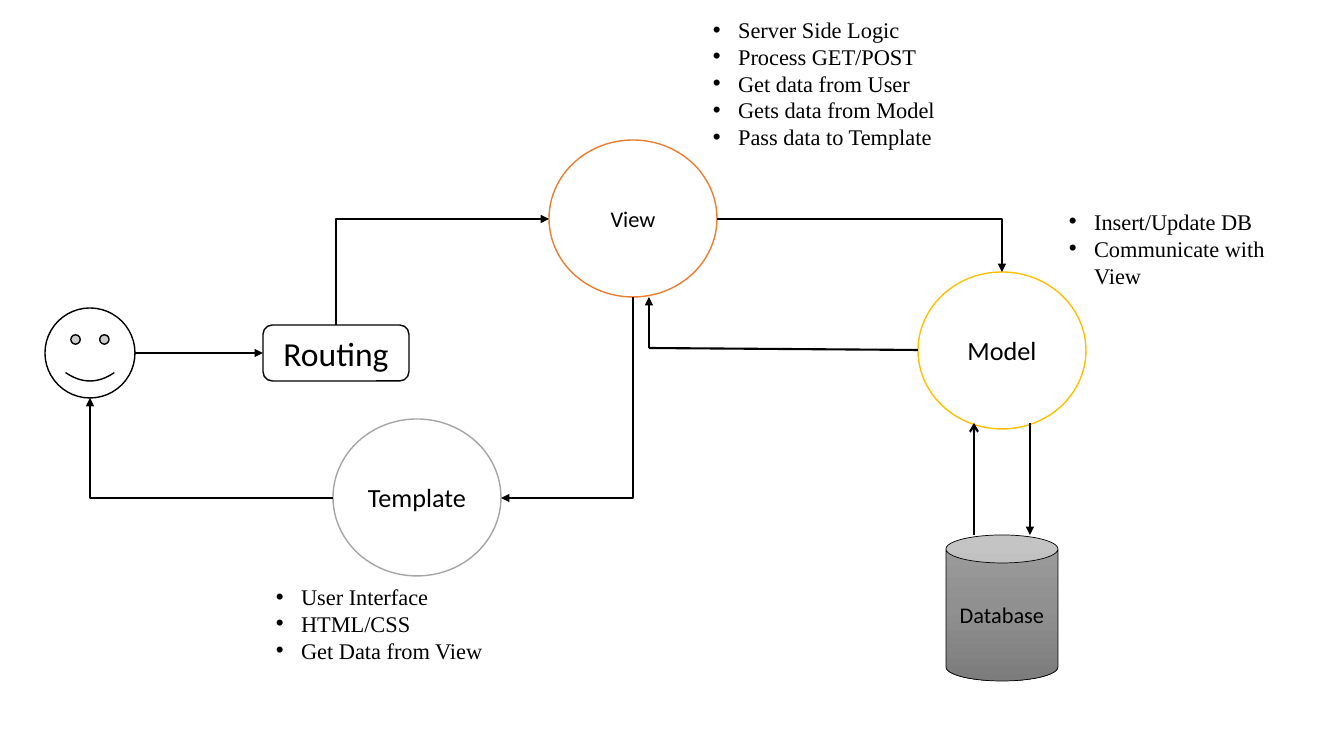
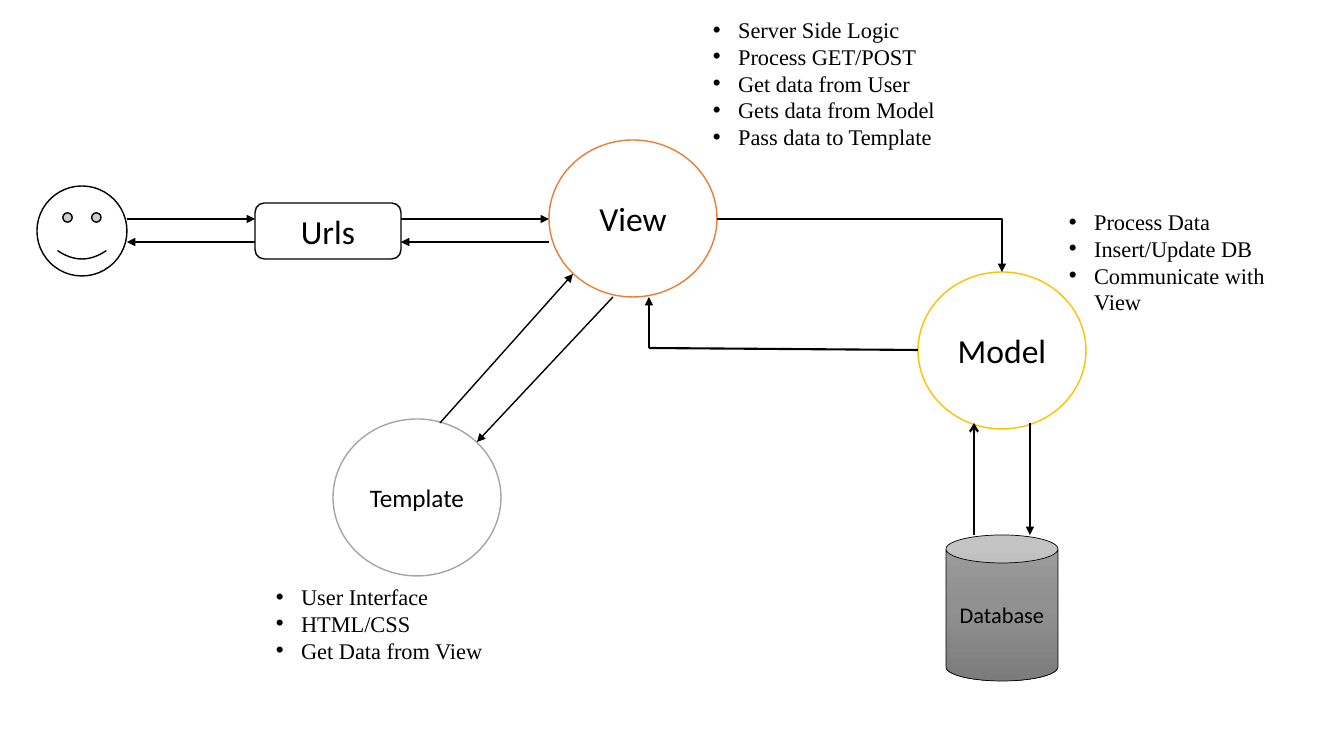
from copy import deepcopy

from lxml.etree import SubElement
from pptx import Presentation
from pptx.dml.color import RGBColor
from pptx.enum.shapes import MSO_CONNECTOR, MSO_SHAPE
from pptx.enum.text import MSO_ANCHOR, MSO_AUTO_SIZE, PP_ALIGN
from pptx.oxml.ns import qn
from pptx.util import Pt

WIDE, HIGH = 1344, 756
SCALE = 12192000 / WIDE

BLACK = RGBColor(0x00, 0x00, 0x00)
WHITE = RGBColor(0xFF, 0xFF, 0xFF)
ORANGE = RGBColor(0xED, 0x7D, 0x31)
GREY = RGBColor(0xA5, 0xA5, 0xA5)
GOLD = RGBColor(0xFF, 0xC0, 0x00)
SHADES = [RGBColor(0x9D, 0x9D, 0x9D), RGBColor(0x90, 0x90, 0x90),
          RGBColor(0x7C, 0x7C, 0x7C)]

SANS, SERIF = "Calibri", "Times New Roman"
FACE, BOX = MSO_SHAPE.SMILEY_FACE, MSO_SHAPE.ROUNDED_RECTANGLE
OVAL, CAN = MSO_SHAPE.OVAL, MSO_SHAPE.CAN
LINE, ELBOW = MSO_CONNECTOR.STRAIGHT, MSO_CONNECTOR.ELBOW
CENTER, MIDDLE = PP_ALIGN.CENTER, MSO_ANCHOR.MIDDLE
GROW = MSO_AUTO_SIZE.SHAPE_TO_FIT_TEXT

VIEW_NOTES = ["Server Side Logic", "Process GET/POST", "Get data from User",
              "Gets data from Model", "Pass data to Template"]
MODEL_NOTES = ["Insert/Update DB", "Communicate with View"]
PAGE_NOTES = ["User Interface", "HTML/CSS", "Get Data from View"]


def emu(*lengths):
    return [round(px * SCALE) for px in lengths]


def style(para, font, size):
    para.font.name = font
    para.font.size = Pt(size)
    para.font.color.rgb = BLACK


def node(slide, kind, frame, text="", size=16, color=BLACK, width=1):
    """Add a white outlined shape with a centred label."""
    shape = slide.shapes.add_shape(kind, *emu(*frame))
    shape.shadow.inherit = False
    shape.fill.solid()
    shape.fill.fore_color.rgb = WHITE
    shape.line.color.rgb = color
    shape.line.width = Pt(width)
    if text:
        shape.text_frame.vertical_anchor = MIDDLE
        para = shape.text_frame.paragraphs[0]
        para.text = text
        para.alignment = CENTER
        style(para, SANS, size)
    return shape


def shade(shape):
    """Fill a shape from top to bottom with the evenly spaced SHADES."""
    shape.fill.gradient()
    shape.fill.gradient_angle = 270
    stops = shape.element.spPr.find(".//" + qn("a:gsLst"))
    stops.insert(1, deepcopy(stops[0]))
    for i, (stop, color) in enumerate(zip(shape.fill.gradient_stops, SHADES)):
        stop.position = i / (len(SHADES) - 1)
        stop.color.rgb = color


def link(slide, start, end, tail="triangle", head=None, width=1.5, kind=LINE):
    """Add a black connector with optional arrowheads."""
    line = slide.shapes.add_connector(kind, *emu(*start, *end))
    line.line.color.rgb = BLACK
    line.line.width = Pt(width)
    props = line.element.spPr
    stroke = props.find(qn("a:ln"))
    for tag, tip in (("a:headEnd", head), ("a:tailEnd", tail)):
        if tip:
            SubElement(stroke, qn(tag)).set("type", tip)
    SubElement(props, qn("a:effectLst"))
    return line


def bend(slide, start, end, upright=False):
    """Add an arrow with one corner; upright ones leave vertically."""
    if upright:
        (x1, y1), (x2, y2) = start, end
        mid_x, mid_y = (x1 + x2) / 2, (y1 + y2) / 2
        dx, dy = (x2 - x1) / 2, (y2 - y1) / 2
        start = mid_x - dy, mid_y + dx
        end = mid_x + dy, mid_y - dx
    props = link(slide, start, end, kind=ELBOW).element.spPr
    props.find(qn("a:prstGeom")).set("prst", "bentConnector2")
    if upright:
        props.find(qn("a:xfrm")).set("rot", "5400000")


def notes(slide, frame, items, wrap=False):
    """Add a bulleted text box."""
    body = slide.shapes.add_textbox(*emu(*frame)).text_frame
    body.word_wrap = wrap
    body.auto_size = GROW
    body.text = "\n".join(items)
    for para in body.paragraphs:
        style(para, SERIF, 16)
        props = para._p.get_or_add_pPr()
        props.set("marL", "228600")
        props.set("indent", "-228600")
        SubElement(props, qn("a:buFont")).set("typeface", "Arial")
        SubElement(props, qn("a:buChar")).set("char", "•")
        props.append(props.find(qn("a:defRPr")))


def base(deck, view, page, model, tasks):
    """Add a slide with the shared parts, given label sizes and model tasks."""
    slide = deck.slides.add_slide(deck.slide_layouts[6])
    ovals = [("View", 549, 140, view, ORANGE),
             ("Template", 333, 419, page, GREY),
             ("Model", 918, 272, model, GOLD)]
    for text, left, top, size, color in ovals:
        node(slide, OVAL, (left, top, 168, 157), text, size, color)
    shade(node(slide, CAN, (946, 535, 112, 146), "Database", width=0.5))

    bend(slide, (717, 219), (1002, 272))
    link(slide, (918, 350), (649, 348), tail=None)
    link(slide, (649, 348), (649, 297))
    link(slide, (1030, 423), (1030, 535))
    link(slide, (974, 423), (974, 535), tail=None, head="arrow")

    notes(slide, (1059, 203, 256, 38 + 27 * len(tasks)), tasks, wrap=True)
    notes(slide, (266, 578, 230, 119), PAGE_NOTES)
    notes(slide, (703, 11, 246, 146), VIEW_NOTES)
    return slide


def routing(deck):
    slide = base(deck, 16, 18.7, 18.7, MODEL_NOTES)
    node(slide, FACE, (45, 308, 90, 90))
    route = node(slide, BOX, (263, 325, 146, 56), "Routing", 24)
    link(slide, (135, 353), (263, 353)).end_connect(route, 1)
    bend(slide, (336, 325), (549, 219), upright=True)
    bend(slide, (633, 297), (501, 498), upright=True)
    bend(slide, (333, 498), (90, 398))


def urls(deck):
    slide = base(deck, 24, 18, 24, ["Process Data"] + MODEL_NOTES)
    node(slide, FACE, (37, 186, 90, 90))
    node(slide, BOX, (255, 203, 146, 56), "Urls", 24)
    for left, right in ((127, 255), (401, 549)):
        link(slide, (left, 219), (right, 219))
        link(slide, (right, 242), (left, 242))
    link(slide, (613, 297), (477, 442), width=1)
    link(slide, (440, 423), (573, 274), width=1)


def main():
    deck = Presentation()
    deck.slide_width, deck.slide_height = emu(WIDE, HIGH)
    routing(deck)
    urls(deck)
    deck.save("out.pptx")


if __name__ == "__main__":
    main()
